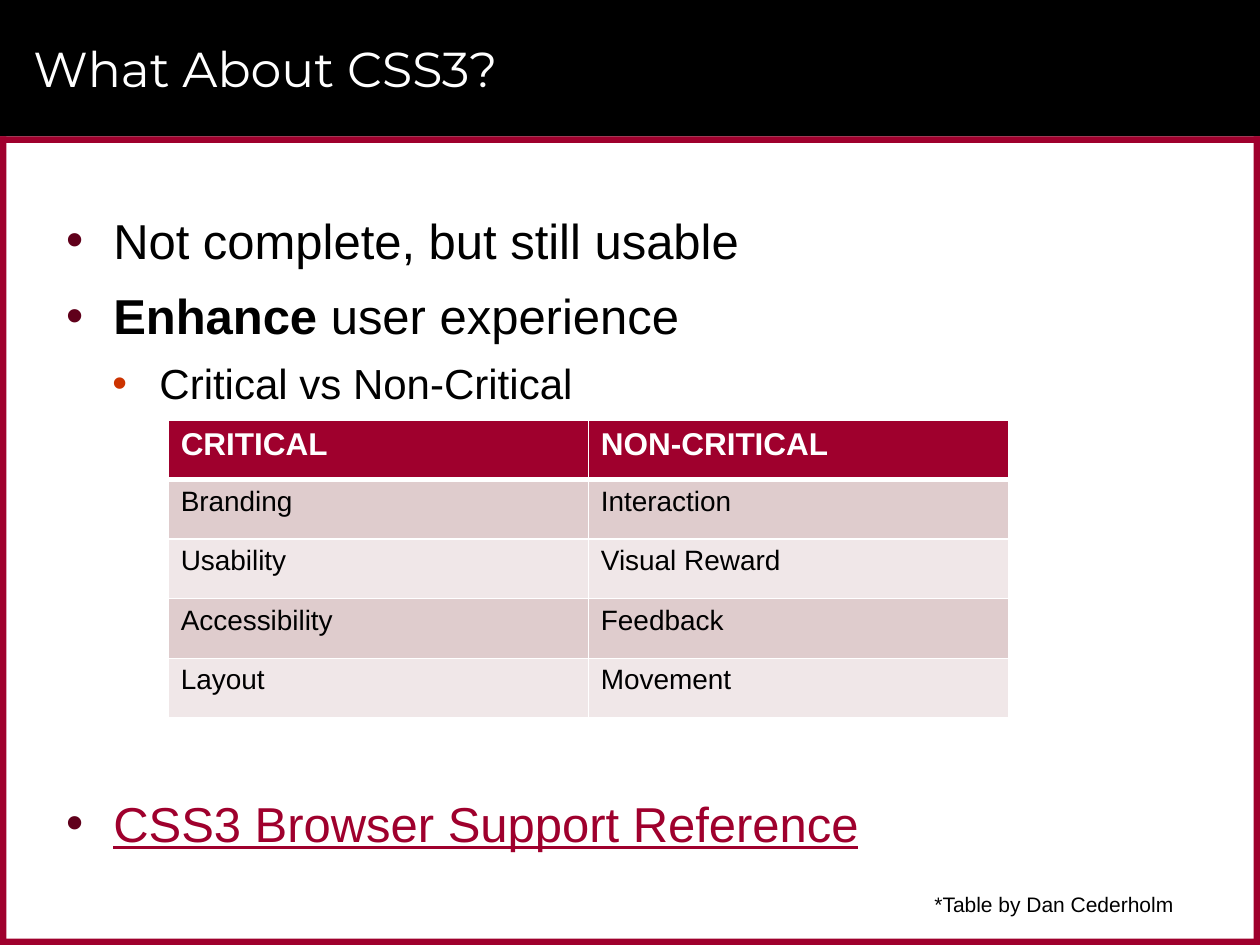
from lxml import etree
from pptx import Presentation
from pptx import util as u
from pptx.dml.color import RGBColor
from pptx.enum import shapes, text
from pptx.oxml.ns import qn

RED, BLACK, WHITE = "9F002D", "000000", "FFFFFF"


def rgb(value):
    return RGBColor.from_string(value)


def format_run(r, size, color=BLACK, name="Arial", **extra):
    values = {"size": u.Pt(size), "name": name, **extra}
    for key, value in values.items():
        setattr(r.font, key, value)
    r.font.color.rgb = rgb(color)


prs = Presentation()
prs.slide_width, prs.slide_height = u.Cm(25.4), u.Cm(19.05)
s = prs.slides.add_slide(prs.slide_layouts[1])
title, body = s.shapes.title, s.placeholders[1]

# Header band and red frame, placed behind the text
bars = [
    (0, 0, 25.4, 2.75, BLACK),
    (0, 2.75, 25.4, 0.13, RED),
    (0, 18.92, 25.4, 0.13, RED),
    (25.27, 2.75, 0.13, 16.3, RED),
    (0, 2.75, 0.13, 16.3, RED),
]
for *box, color in bars:
    sp = s.shapes.add_shape(shapes.MSO_SHAPE.RECTANGLE, *map(u.Cm, box))
    sp.shadow.inherit = False
    sp.fill.solid()
    sp.fill.fore_color.rgb = rgb(color)
    sp.line.fill.background()
    title._element.addprevious(sp._element)

# Title and body frames
frames = [
    (title, (0.42, 0.2, 23.93, 2.34), text.MSO_ANCHOR.MIDDLE),
    (body, (1.06, 4.11, 23.3, 14.3), text.MSO_ANCHOR.TOP),
]
for sp, box, anchor in frames:
    sp.left, sp.top, sp.width, sp.height = map(u.Cm, box)
    tf = sp.text_frame
    tf.word_wrap = True
    tf.auto_size = text.MSO_AUTO_SIZE.NONE
    tf.vertical_anchor = anchor

# Title
p = title.text_frame.paragraphs[0]
p.alignment = text.PP_ALIGN.LEFT
r = p.add_run()
r.text = "What About CSS3?"
format_run(r, 28, WHITE, "Montserrat")

# Bullets: level, space before, space after, runs; the last one sits below the table
bullets = [
    (0, 0, 2, [("Not complete, but still usable", {})]),
    (0, 7.5, 2, [("Enhance", {"bold": True}), (" user experience", {})]),
    (1, 5.5, 3, [("Critical vs Non-Critical", {})]),
    (0, 217, 2, [("CSS3 Browser Support Reference", {"color": RED, "underline": True})]),
]
levels = [(28, 0.97, "60001B"), (24, 1.9, "CC3300")]
tf = body.text_frame
for i, (level, before, after, runs) in enumerate(bullets):
    p = tf.paragraphs[0] if i == 0 else tf.add_paragraph()
    size, margin, bullet_color = levels[level]
    p.level = level
    p.line_spacing = 1.0
    p.space_before, p.space_after = u.Pt(before), u.Pt(after)
    pPr = p._p.get_or_add_pPr()
    pPr.set("marL", str(u.Cm(margin)))
    pPr.set("indent", str(u.Cm(-0.95)))
    clr = etree.SubElement(pPr, qn("a:buClr"))
    etree.SubElement(clr, qn("a:srgbClr"), val=bullet_color)
    etree.SubElement(pPr, qn("a:buFont"), typeface="Arial")
    etree.SubElement(pPr, qn("a:buChar"), char="•")
    for words, style in runs:
        r = p.add_run()
        r.text = words
        format_run(r, size, **style)

# Table
rows = [
    ("CRITICAL", "NON-CRITICAL"),
    ("Branding", "Interaction"),
    ("Usability", "Visual Reward"),
    ("Accessibility", "Feedback"),
    ("Layout", "Movement"),
]
table = s.shapes.add_table(len(rows), 2, u.Cm(3.39), u.Cm(8.47),
                           u.Cm(16.94), u.Cm(6)).table
for i, row in enumerate(rows):
    header = i == 0
    for j, words in enumerate(row):
        cell = table.cell(i, j)
        r = cell.text_frame.paragraphs[0].add_run()
        r.text = words
        format_run(r, 18 if header else 16, WHITE if header else BLACK, bold=header)
        tcPr = cell._tc.get_or_add_tcPr()
        for side in ("lnL", "lnR", "lnT", "lnB"):
            thick = (header and side == "lnB") or (i == 1 and side == "lnT")
            ln = etree.SubElement(tcPr, qn("a:" + side), w=str(u.Pt(3 if thick else 1)))
            fill = etree.SubElement(ln, qn("a:solidFill"))
            etree.SubElement(fill, qn("a:srgbClr"), val=WHITE)
        cell.fill.solid()
        cell.fill.fore_color.rgb = rgb(RED if header else ("F0E7E8", "DFCCCD")[i % 2])

# Table credit
tf = s.shapes.add_textbox(u.Cm(16.09), u.Cm(17.85), u.Cm(7.82), u.Cm(0.77)).text_frame
tf.word_wrap = True
p = tf.paragraphs[0]
p.alignment = text.PP_ALIGN.RIGHT
r = p.add_run()
r.text = "*Table by Dan Cederholm"
format_run(r, 12)

prs.save("out.pptx")
